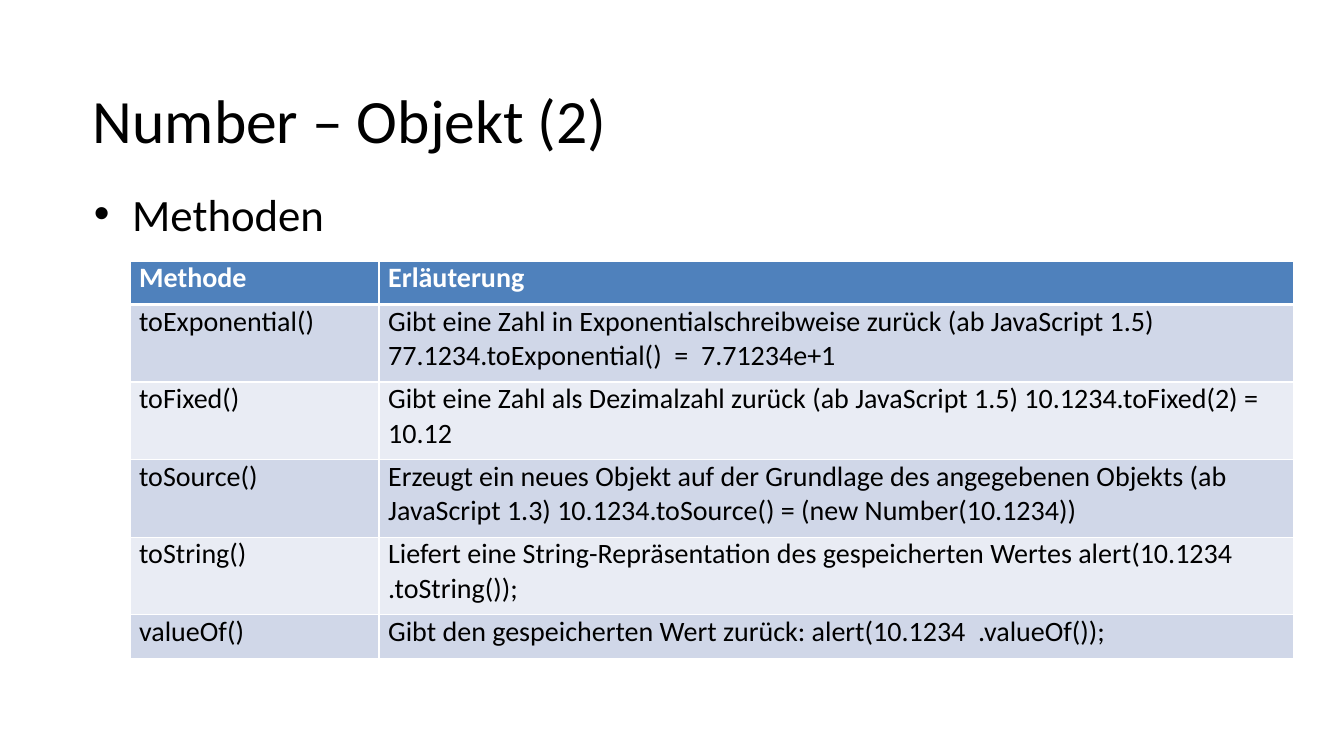
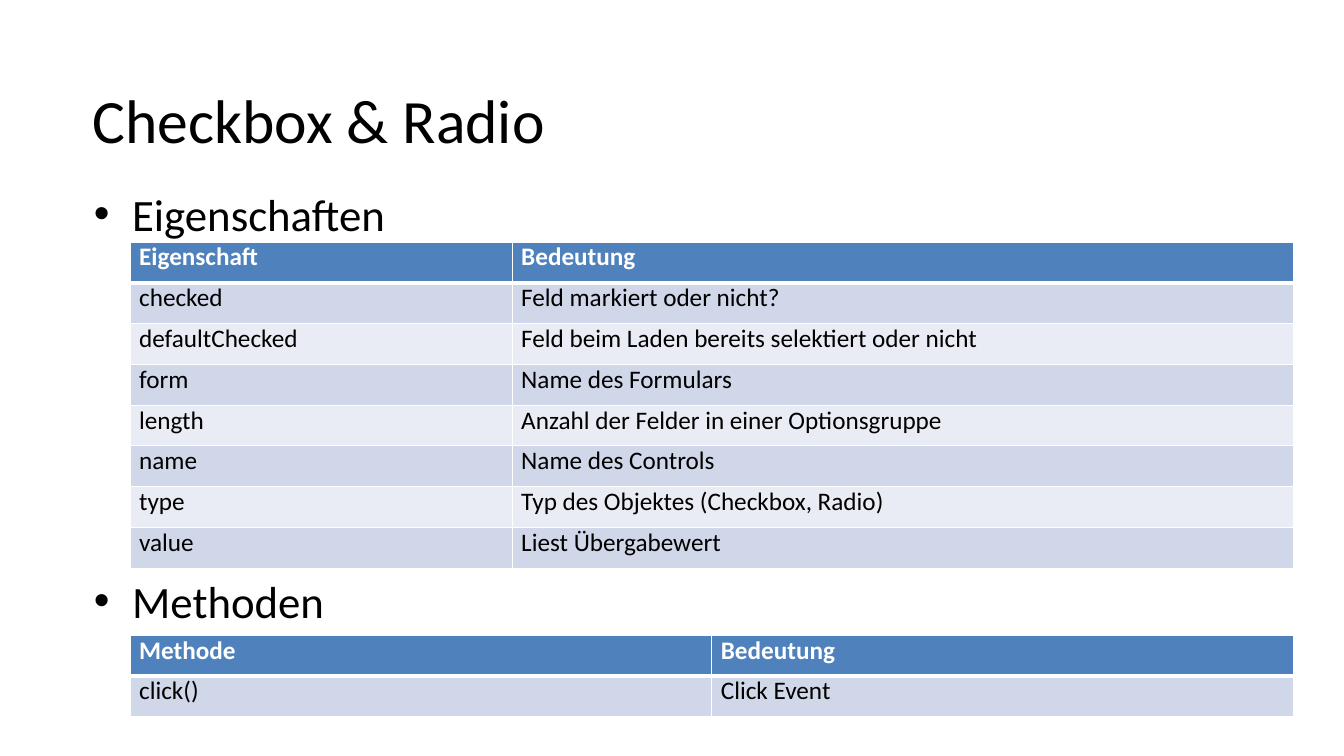
from lxml import etree
from pptx import Presentation
from pptx.dml.color import RGBColor
from pptx.enum import text as tx
from pptx.oxml import ns
from pptx.util import Inches, Pt

BLACK = RGBColor(0x00, 0x00, 0x00)
WHITE = RGBColor(0xFF, 0xFF, 0xFF)
BLUE = RGBColor(0x4F, 0x81, 0xBC)
DARK = RGBColor(0xD0, 0xD7, 0xE8)
LIGHT = RGBColor(0xE9, 0xEC, 0xF4)
FONT = "Calibri"
LEFT = 0.92
GRID = 1.29
WIDE = 11.54

NUMBER = [
    ("Methode", "Erläuterung"),
    ("toExponential()",
     "Gibt eine Zahl in Exponentialschreibweise zurück (ab JavaScript 1.5) "
     "77.1234.toExponential()  =  7.71234e+1"),
    ("toFixed()",
     "Gibt eine Zahl als Dezimalzahl zurück (ab JavaScript 1.5) "
     "10.1234.toFixed(2) = 10.12"),
    ("toSource()",
     "Erzeugt ein neues Objekt auf der Grundlage des angegebenen Objekts (ab\n"
     "JavaScript 1.3) 10.1234.toSource() = (new Number(10.1234))"),
    ("toString()",
     "Liefert eine String-Repräsentation des gespeicherten Wertes alert(10.1234\n"
     ".toString());"),
    ("valueOf()", "Gibt den gespeicherten Wert zurück: alert(10.1234  .valueOf());"),
]
FIELDS = [
    ("Eigenschaft", "Bedeutung"),
    ("checked", "Feld markiert oder nicht?"),
    ("defaultChecked", "Feld beim Laden bereits selektiert oder nicht"),
    ("form", "Name des Formulars"),
    ("length", "Anzahl der Felder in einer Optionsgruppe"),
    ("name", "Name des Controls"),
    ("type", "Typ des Objektes (Checkbox, Radio)"),
    ("value", "Liest Übergabewert"),
]
EVENTS = [("Methode", "Bedeutung"), ("click()", "Click Event")]


def style(frame, size, color=BLACK, bold=False):
    for para in frame.paragraphs:
        for run in para.runs:
            font = run.font
            font.name, font.size, font.bold = FONT, Pt(size), bold
            font.color.rgb = color


def clear(frame):
    frame.margin_left = frame.margin_right = 0
    frame.margin_top = frame.margin_bottom = 0
    frame.word_wrap = True


def add_slide(deck, title):
    slide = deck.slides.add_slide(deck.slide_layouts[5])
    head = slide.shapes.title
    head.left, head.top = Inches(LEFT), Inches(0.5)
    head.width, head.height = Inches(11.5), Inches(1.35)
    frame = head.text_frame
    frame.text = title
    clear(frame)
    frame.auto_size = tx.MSO_AUTO_SIZE.NONE
    frame.vertical_anchor = tx.MSO_ANCHOR.MIDDLE
    frame.paragraphs[0].alignment = tx.PP_ALIGN.LEFT
    style(frame, 44)
    return slide


def add_bullet(slide, label, top, width):
    box = slide.shapes.add_textbox(
        Inches(LEFT), Inches(top), Inches(width), Inches(0.57))
    frame = box.text_frame
    frame.text = label
    clear(frame)
    props = frame.paragraphs[0]._p.get_or_add_pPr()
    props.set("marL", str(Inches(0.39)))
    props.set("indent", str(-Inches(0.38)))
    etree.SubElement(props, ns.qn("a:buFont")).set("typeface", "Arial")
    etree.SubElement(props, ns.qn("a:buChar")).set("char", "•")
    style(frame, 32)


def add_edges(cell, top, bottom):
    props = cell._tc.get_or_add_tcPr()
    for side, width in (("L", 1), ("R", 1), ("T", top), ("B", bottom)):
        line = etree.SubElement(props, ns.qn("a:ln" + side), w=str(Pt(width)))
        fill = etree.SubElement(line, ns.qn("a:solidFill"))
        etree.SubElement(fill, ns.qn("a:srgbClr"), val=str(WHITE))


def add_grid(slide, data, top, first, highs, size):
    shape = slide.shapes.add_table(
        len(data), 2, Inches(GRID), Inches(top), Inches(WIDE), Inches(sum(highs)))
    table = shape.table
    table.horz_banding = False
    for col, width in zip(table.columns, (first, WIDE - first)):
        col.width = Inches(width)
    for r, (texts, high) in enumerate(zip(data, highs)):
        table.rows[r].height = Inches(high)
        head = r == 0
        shade = BLUE if head else DARK if r % 2 else LIGHT
        for c, words in enumerate(texts):
            cell = table.cell(r, c)
            cell.margin_left = Inches(0.09)
            cell.margin_right = cell.margin_top = cell.margin_bottom = 0
            add_edges(cell, 3 if r == 1 else 1, 3 if head else 1)
            cell.fill.solid()
            cell.fill.fore_color.rgb = shade
            cell.text_frame.text = words
            style(cell.text_frame, size, WHITE if head else BLACK, head)


def add_number(deck):
    slide = add_slide(deck, "Number – Objekt (2)")
    add_bullet(slide, "Methoden", 1.85, 2.31)
    add_grid(slide, NUMBER, 2.59, 2.47, [0.43] + [0.77] * 4 + [0.43], 20)


def add_check(deck):
    slide = add_slide(deck, "Checkbox & Radio")
    add_bullet(slide, "Eigenschaften", 1.85, 2.93)
    add_bullet(slide, "Methoden", 5.69, 2.31)
    high = 3.24 / len(FIELDS)
    add_grid(slide, FIELDS, 2.4, 3.79, [high] * len(FIELDS), 18)
    add_grid(slide, EVENTS, 6.3, WIDE / 2, [high] * len(EVENTS), 18)


def main():
    deck = Presentation()
    deck.slide_width, deck.slide_height = Inches(13.33), Inches(7.5)
    add_number(deck)
    add_check(deck)
    deck.save("out.pptx")


if __name__ == "__main__":
    main()
